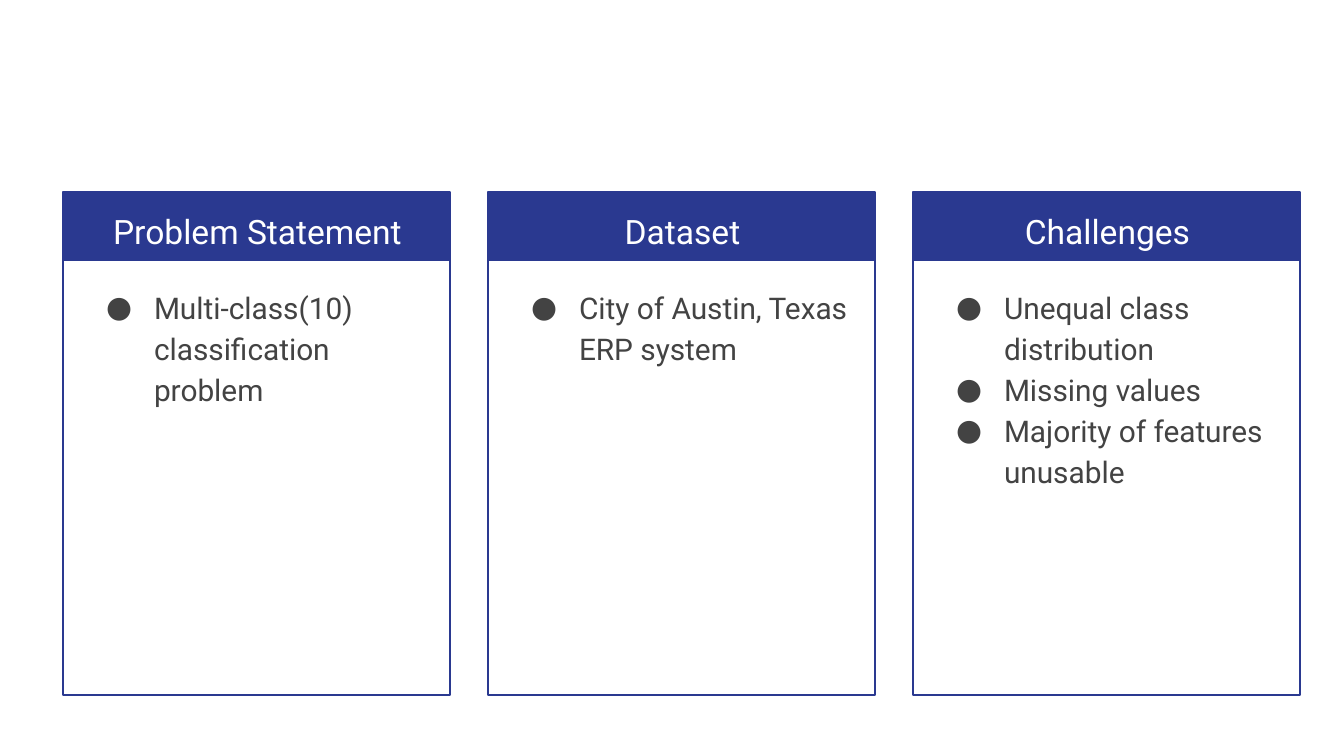
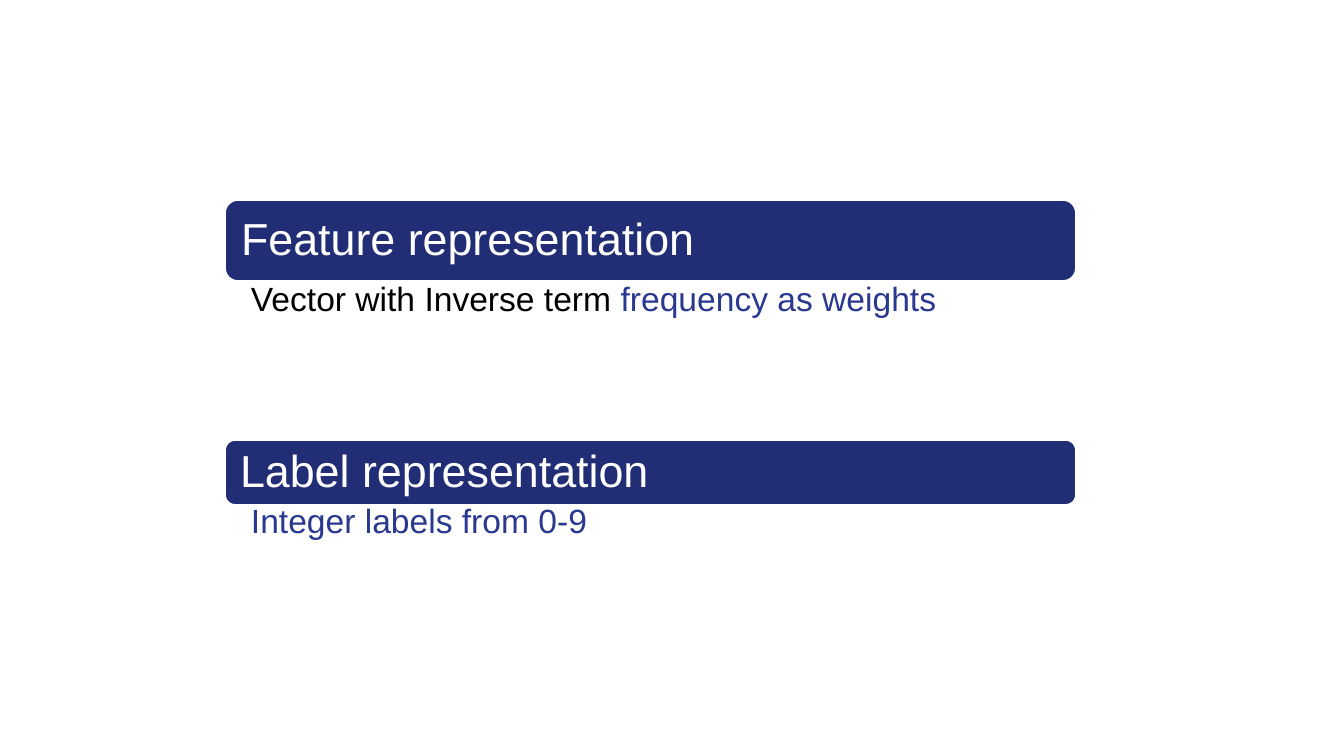
from copy import deepcopy

from lxml.etree import SubElement
from pptx import Presentation
from pptx.dml.color import RGBColor
from pptx.enum.shapes import MSO_SHAPE
from pptx.enum.text import MSO_ANCHOR, MSO_AUTO_SIZE, PP_ALIGN
from pptx.oxml.ns import qn
from pptx.util import Pt

# Content
CARDS = [
    ("Problem Statement", [("Multi-class(10) classification problem", PP_ALIGN.JUSTIFY)]),
    ("Dataset", [("City of Austin, Texas ERP system", PP_ALIGN.LEFT)]),
    ("Challenges", [
        ("Unequal class distribution", PP_ALIGN.LEFT),
        ("Missing values", PP_ALIGN.JUSTIFY),
        ("Majority of features unusable", PP_ALIGN.LEFT),
    ]),
]

BLUE, NAVY, GREY, WHITE, BLACK = "2A3990", "212D74", "434343", "FFFFFF", "000000"

# Each section: title, bar top, bar height, title inset, detail top, detail runs
SECTIONS = [
    ("Feature representation", 199, 83, 4, 278,
     [("Vector with Inverse term ", BLACK), ("frequency as weights", BLUE)]),
    ("Label representation", 439, 67, 3, 501, [("Integer labels from 0-9", BLUE)]),
]

# Measures in px
SLIDE_WIDTH, SLIDE_HEIGHT = 1344, 756
CARD_LEFT, CARD_TOP, CARD_WIDTH, CARD_HEIGHT, CARD_STEP = 63, 192, 387, 503, 425
BAND_HEIGHT = 69
SECTION_LEFT, SECTION_WIDTH, DETAIL_HEIGHT = 224, 853, 156
EVEN_MARGINS = (13, 13, 13, 13)
DETAIL_MARGINS = (27, 4, 19, 4)

# Text formats
HEADING = {"name": "Roboto", "size": Pt(18), "bold": False}
ITEM = {"name": "Roboto", "size": Pt(16), "bold": False}
SECTION_TITLE = {"name": "Arial", "size": Pt(24)}
DETAIL = {"name": "Arial", "size": Pt(18)}


def px(length):
    return round(length * 914400 / 134.4)


def color(value):
    return RGBColor.from_string(value)


def place(shape, box):
    for name, length in zip(("left", "top", "width", "height"), box):
        setattr(shape, name, px(length))


def add_box(parent, kind, box, fill=None, line=None, line_width=0.75):
    shape = parent.shapes.add_shape(kind, *map(px, box))
    shape.shadow.inherit = False
    if fill:
        shape.fill.solid()
        shape.fill.fore_color.rgb = color(fill)
    else:
        shape.fill.background()
    if line:
        shape.line.color.rgb = color(line)
        shape.line.width = Pt(line_width)
    else:
        shape.line.fill.background()


def set_frame(frame, margins, anchor=MSO_ANCHOR.TOP):
    values = {"word_wrap": True, "auto_size": MSO_AUTO_SIZE.NONE, "vertical_anchor": anchor}
    for side, margin in zip(("left", "top", "right", "bottom"), margins):
        values[f"margin_{side}"] = px(margin)
    for name, value in values.items():
        setattr(frame, name, value)


def write(paragraph, runs, font, align, spacing, left=0, hanging=0, bullet=None):
    for text, run_color in runs:
        run = paragraph.add_run()
        run.text = text
        for name, value in font.items():
            setattr(run.font, name, value)
        run.font.color.rgb = color(run_color)
    paragraph.alignment = align
    paragraph.line_spacing = spacing
    paragraph.space_before = paragraph.space_after = Pt(0)
    properties = paragraph._p.get_or_add_pPr()
    properties.set("marL", str(px(left)))
    properties.set("indent", str(px(-hanging)))
    if bullet:
        bullet_color = SubElement(properties, qn("a:buClr"))
        SubElement(bullet_color, qn("a:srgbClr"), val=runs[0][1])
        SubElement(properties, qn("a:buFont"), typeface=font["name"])
        SubElement(properties, qn("a:buChar"), char=bullet)
    else:
        SubElement(properties, qn("a:buNone"))


def make_card_layout(presentation):
    """Give the content layout a heading and a list placeholder per card."""
    layout = presentation.slide_layouts[1]
    title, body = list(layout.placeholders)[:2]
    for number in range(2 * len(CARDS)):
        element = deepcopy(body._element)
        element.nvSpPr.cNvPr.set("id", str(20 + number))
        element.nvSpPr.nvPr.find(qn("p:ph")).set("idx", str(20 + number))
        layout.shapes._spTree.append(element)
    for placeholder in (title, body):
        layout.shapes._spTree.remove(placeholder._element)
    return layout


def build_cards(presentation):
    slide = presentation.slides.add_slide(make_card_layout(presentation))
    placeholders = list(slide.placeholders)
    for index, (heading, items) in enumerate(CARDS):
        left = CARD_LEFT + index * CARD_STEP
        card = slide.shapes.add_group_shape()
        add_box(card, MSO_SHAPE.RECTANGLE, (left, CARD_TOP, CARD_WIDTH, BAND_HEIGHT), fill=BLUE)
        add_box(card, MSO_SHAPE.RECTANGLE, (left, CARD_TOP, CARD_WIDTH, CARD_HEIGHT), line=BLUE)

        # Text stands in front of the card
        title, body = placeholders[2 * index:2 * index + 2]
        place(title, (left + 11, CARD_TOP, 367, 67))
        place(body, (left + 11, CARD_TOP + 79, 364, 411))
        for placeholder in (title, body):
            slide.shapes._spTree.append(placeholder._element)
            set_frame(placeholder.text_frame, EVEN_MARGINS)
        write(title.text_frame.paragraphs[0], [(heading, WHITE)], HEADING, PP_ALIGN.CENTER, 1.15)
        for number, (text, align) in enumerate(items):
            frame = body.text_frame
            paragraph = frame.add_paragraph() if number else frame.paragraphs[0]
            write(paragraph, [(text, GREY)], ITEM, align, 1.15, 67, 48, "●")


def build_sections(presentation):
    slide = presentation.slides.add_slide(presentation.slide_layouts[6])
    group = slide.shapes.add_group_shape()
    for title, top, height, inset, detail_top, detail_runs in SECTIONS:
        add_box(group, MSO_SHAPE.ROUNDED_RECTANGLE,
                (SECTION_LEFT, top, SECTION_WIDTH, height), NAVY, WHITE, 2)
        title_box = group.shapes.add_textbox(*map(px, (
            SECTION_LEFT + inset, top + inset, SECTION_WIDTH - 2 * inset, height - 2 * inset)))
        set_frame(title_box.text_frame, EVEN_MARGINS, MSO_ANCHOR.MIDDLE)
        write(title_box.text_frame.paragraphs[0], [(title, WHITE)], SECTION_TITLE,
              PP_ALIGN.LEFT, 0.9)
        detail_box = group.shapes.add_textbox(*map(px, (
            SECTION_LEFT, detail_top, SECTION_WIDTH, DETAIL_HEIGHT)))
        set_frame(detail_box.text_frame, DETAIL_MARGINS)
        paragraph = detail_box.text_frame.paragraphs[0]
        paragraph.level = 1
        write(paragraph, detail_runs, DETAIL, PP_ALIGN.LEFT, 0.9, 26, 26)


def main():
    presentation = Presentation()
    presentation.slide_width = px(SLIDE_WIDTH)
    presentation.slide_height = px(SLIDE_HEIGHT)
    build_cards(presentation)
    build_sections(presentation)
    presentation.save("out.pptx")


if __name__ == "__main__":
    main()
